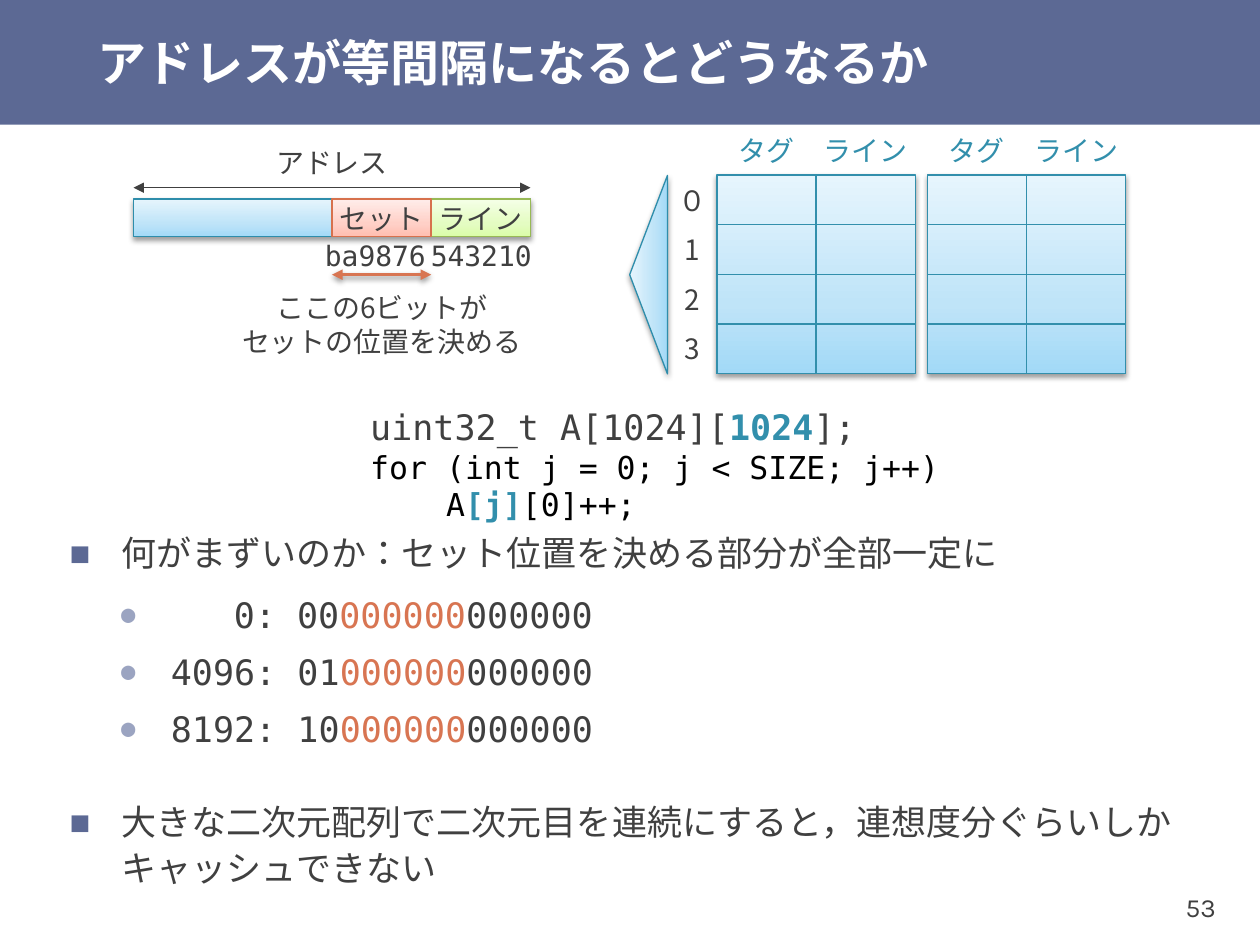
from pptx import Presentation
from pptx.dml.color import RGBColor
from pptx.enum.lang import MSO_LANGUAGE_ID
from pptx.enum.shapes import MSO_CONNECTOR, MSO_SHAPE
from pptx.enum.text import MSO_ANCHOR, PP_ALIGN
from pptx.oxml import parse_xml
from pptx.oxml.ns import nsdecls
from pptx.util import Inches, Pt

HUES = {
    "navy": "5C6994", "mist": "9BA4C1", "text": "404040", "white": "FFFFFF",
    "black": "000000", "teal": "328FAC", "rust": "D87552",
}
FILLS = {
    "blue": (("A2D9F7", "BFE4F8", "E6F5FD"), "2E8DAB"),
    "green": (("DAFDA7", "E4FCC2", "F5FFE7"), "98B955"),
    "red": (("FFBEB0", "FFD0C7", "FFEDEA"), "D7714D"),
}
SANS, MONO, CJK = "Karla", "DejaVu Sans Mono", "Noto Sans CJK JP"
UNIT = 3.15 / 8
CELL = 2 * UNIT


def rgb(hue):
    return RGBColor.from_string(hue)


def node(tag, inner="", **attrs):
    pairs = " ".join(f'{key}="{val}"' for key, val in attrs.items())
    return parse_xml(f"<a:{tag} {nsdecls('a')} {pairs}>{inner}</a:{tag}>")


class Deck:
    def __init__(self):
        self.prs = Presentation()
        self.prs.slide_width, self.prs.slide_height = Inches(10), Inches(7.5)
        self.slide = self.prs.slides.add_slide(self.prs.slide_layouts[5])

    def run(self, para, text, size, hue="text", font=CJK, bold=False):
        run = para.add_run()
        run.text = text
        run.font.size, run.font.name, run.font.bold = Pt(size), font, bold
        run.font.language_id = MSO_LANGUAGE_ID.JAPANESE
        run.font.color.rgb = rgb(HUES[hue])
        run._r.rPr.append(node("ea", typeface=font))

    def frame(self, shape, inset=(0, 0), wrap=False, anchor=MSO_ANCHOR.MIDDLE):
        frame = shape.text_frame
        frame.word_wrap, frame.vertical_anchor = wrap, anchor
        frame.margin_left = frame.margin_right = Inches(inset[0])
        frame.margin_top = frame.margin_bottom = Inches(inset[1])
        return frame

    def box(self, x, y, w, h, **style):
        area = map(Inches, (x, y, w, h))
        return self.frame(self.slide.shapes.add_textbox(*area), **style)

    def para(self, frame, first, align=PP_ALIGN.LEFT):
        para = frame.paragraphs[0] if first else frame.add_paragraph()
        para.alignment = align
        return para

    def label(self, x, y, w, h, *lines, hue="text", font=CJK):
        frame = self.box(x, y, w, h)
        for i, line in enumerate(lines):
            para = self.para(frame, i == 0, PP_ALIGN.CENTER)
            if len(lines) > 1:
                para.line_spacing = Pt(19.4)
            self.run(para, line, 16, hue, font)

    def title(self, text):
        bar = self.slide.shapes.add_shape(MSO_SHAPE.RECTANGLE, 0, 0, Inches(10), Inches(0.99))
        bar.shadow.inherit = False
        bar.fill.solid()
        bar.fill.fore_color.rgb = rgb(HUES["navy"])
        bar.line.fill.background()
        self.slide.shapes._spTree.insert(2, bar._element)
        head = self.slide.shapes.title
        head.left, head.top = Inches(0.67), 0
        head.width, head.height = Inches(9.33), Inches(0.99)
        frame = self.frame(head, (0.1, 0), True)
        self.run(self.para(frame, True), text, 28, "white", SANS, True)

    def shade(self, props):
        tone = '<a:srgbClr val="000000"><a:alpha val="38000"/></a:srgbClr>'
        props.find("{*}effectLst").append(node(
            "outerShdw", tone, blurRad=Pt(3.1), dist=Pt(1.6), dir=5400000, rotWithShape=0))

    def block(self, x, y, w, h, fill=None, text="", shade=False,
              kind=MSO_SHAPE.RECTANGLE, turn=0):
        shape = self.slide.shapes.add_shape(kind, *map(Inches, (x, y, w, h)))
        shape.rotation = turn
        edge = HUES["teal"]
        if fill:
            tones, edge = FILLS[fill]
            stops = "".join(f'<a:gs pos="{pos}"><a:srgbClr val="{tone}"/></a:gs>'
                            for pos, tone in zip((0, 35000, 100000), tones))
            ramp = f'<a:gsLst>{stops}</a:gsLst><a:lin ang="16200000" scaled="0"/>'
            shape._element.spPr.insert(2, node("gradFill", ramp, rotWithShape=1))
        else:
            shape.fill.background()
        shape.line.color.rgb, shape.line.width = rgb(edge), Pt(0.75)
        shape.shadow.inherit = False
        if shade:
            self.shade(shape._element.spPr)
        if text:
            para = self.para(self.frame(shape), True, PP_ALIGN.CENTER)
            self.run(para, text, 16, font=MONO)

    def arrow(self, x, y, end, hue, width, shade=False):
        line = self.slide.shapes.add_connector(
            MSO_CONNECTOR.STRAIGHT, *map(Inches, (x, y, end, y)))
        line.line.color.rgb, line.line.width = rgb(HUES[hue]), Pt(width)
        for tag in ("headEnd", "tailEnd"):
            line.line._get_or_add_ln().append(node(tag, type="triangle"))
        line._element.spPr.append(node("effectLst"))
        if shade:
            self.shade(line._element.spPr)

    def bank(self, x, y):
        self.block(x, y, 2 * CELL, 4 * UNIT, "blue", shade=True)
        for col, name in enumerate(("タグ", "ライン")):
            left = x + col * CELL
            self.label(left, y - UNIT, CELL, UNIT, name, hue="teal")
            for row in range(4):
                self.block(left, y + row * UNIT, CELL, UNIT)

    def bullet(self, frame, parts, level=0, pad=0, first=False):
        para = self.para(frame, first)
        para.level, para.line_spacing = level, 1.1
        before, after = ((24, 6), (3, 3))[level]
        para.space_before, para.space_after = Pt(0 if first else before), Pt(after)
        props = para._p.get_or_add_pPr()
        props.set("marL", str(Inches(UNIT * (level + 1) + pad)))
        props.set("indent", str(-Inches(UNIT + pad)))
        hue, mark, size = (("navy", "■", 80), ("mist", "●", 68))[level]
        props.append(node("buClr", f'<a:srgbClr val="{HUES[hue]}"/>'))
        props.append(node("buSzPct", val=size * 1000))
        props.append(node("buFont", typeface=MONO))
        props.append(node("buChar", char=mark))
        for text, tone in parts:
            self.run(para, text, 20, tone, (SANS, MONO)[level])

    def code(self, x, y, w, h, lines):
        frame = self.box(x, y, w, h, inset=(0.1, 0.05), wrap=True, anchor=MSO_ANCHOR.TOP)
        for i, (size, hue, parts) in enumerate(lines):
            para = self.para(frame, i == 0)
            for j, part in enumerate(parts):
                bold = j == 1
                self.run(para, part, size, "teal" if bold else hue, MONO, bold)


def main():
    deck = Deck()
    deck.title("アドレスが等間隔になるとどうなるか")

    top = 1.39
    for left in (5.69, 7.36):
        deck.bank(left, top)
    for row, digit in enumerate("０123"):
        deck.label(5.3, top + row * UNIT, UNIT, UNIT, digit)
    deck.block(4.36, 2.03, 4 * UNIT, 0.3, "blue", shade=True,
               kind=MSO_SHAPE.ISOSCELES_TRIANGLE, turn=270)

    left, end = 1.06, 4.21
    line = end - CELL
    field = line - CELL
    deck.block(left, 1.58, end - left, 0.3, "blue", shade=True)
    deck.block(line, 1.58, CELL, 0.3, "green", "ライン")
    deck.block(field, 1.58, CELL, 0.3, "red", "セット")
    deck.arrow(left, 1.49, end, "text", 0.75)
    deck.arrow(field, 2.18, line, "rust", 2, True)
    deck.label(left, 1.09, end - left, UNIT, "アドレス")
    deck.label(1.83, 2.3, 2.4, 0.54, "ここの6ビットが", "セットの位置を決める")
    deck.label(3.32, 1.88, 1, 0.3, "543210", font=MONO)
    deck.label(2.48, 1.88, 1, 0.3, "ba9876", font=MONO)

    deck.code(2.84, 3.17, 5, 1.05, (
        (20, "text", ("uint32_t A[1024][", "1024", "];")),
        (18, "black", ("for (int j = 0; j < SIZE; j++)",)),
        (18, "black", ("    A", "[j]", "[0]++;")),
    ))

    body = deck.box(0.47, 4.34, 9.25, 2.56, inset=(0.1, 0.05), wrap=True)
    deck.bullet(body, [("何がまずいのか：セット位置を決める部分が全部一定に", "text")], first=True)
    for start, pad in (("0: 00", 0.5), ("4096: 01", 0), ("8192: 10", 0)):
        parts = [(start, "text"), ("000000", "rust"), ("000000", "text")]
        deck.bullet(body, parts, 1, pad)
    deck.bullet(body, [("大きな二次元配列で二次元目を連続にすると，"
                        "連想度分ぐらいしかキャッシュできない", "text")])

    page = deck.box(8.93, 6.9, 0.79, 0.6, inset=(0.07, 0.04))
    deck.run(deck.para(page, True, PP_ALIGN.RIGHT), "53", 15, font=SANS)
    deck.prs.save("out.pptx")


if __name__ == "__main__":
    main()
